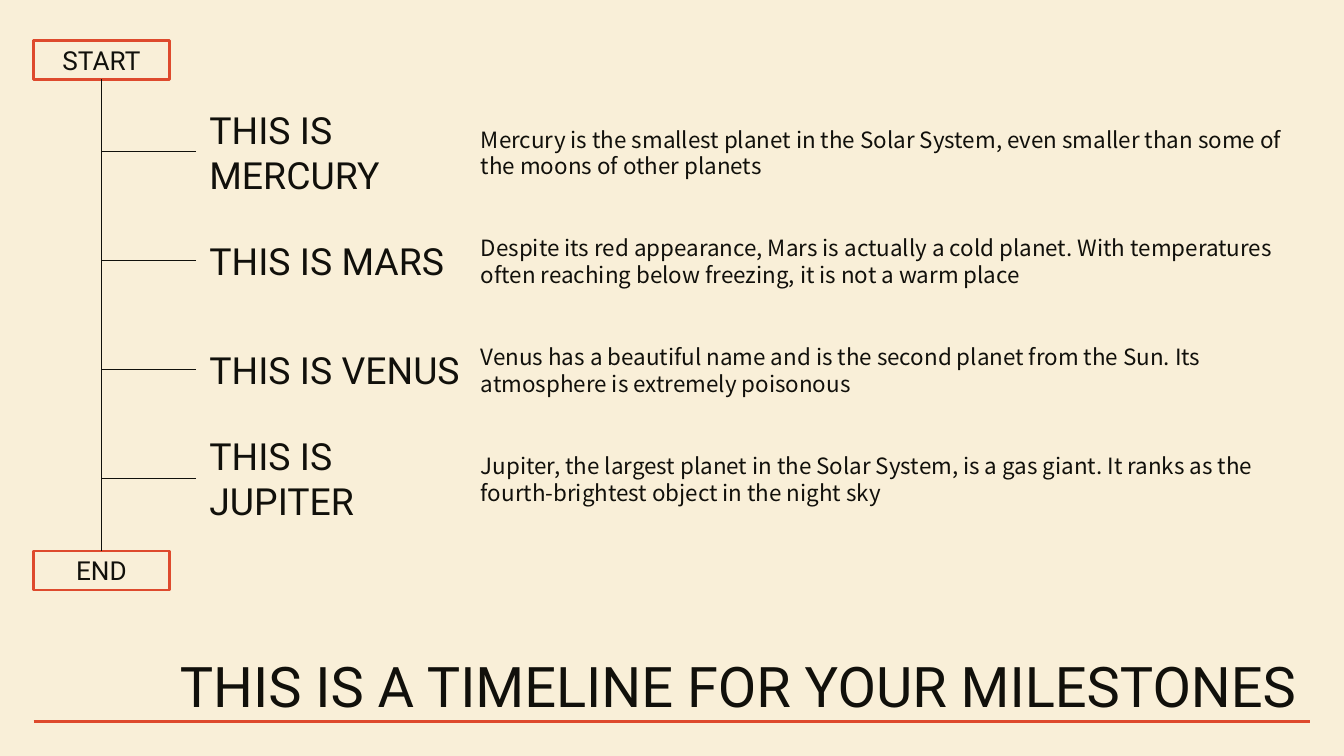
from dataclasses import dataclass

from lxml import etree
from pptx import Presentation, util as u
from pptx.dml.color import RGBColor
from pptx.enum import shapes, text
from pptx.oxml.ns import qn

CM_PER_INCH = 2.54
INK, RED, CREAM = "11100B", "DE4A2D", "F9EFD8"
HEADING_FONT, BODY_FONT = "Roboto", "Noto Sans CJK JP"
FIRST_ROW, ROW_STEP = 1.13, 0.81


@dataclass
class Milestone:
    heading: str
    description: str


@dataclass
class Style:
    size: float
    font: str = HEADING_FONT
    align: text.PP_ALIGN = text.PP_ALIGN.LEFT
    anchor: text.MSO_ANCHOR = text.MSO_ANCHOR.MIDDLE


MILESTONES = [
    Milestone("THIS IS MERCURY", "Mercury is the smallest planet in the Solar System, "
              "even smaller than some of the moons of other planets"),
    Milestone("THIS IS MARS", "Despite its red appearance, Mars is actually a cold planet. "
              "With temperatures often reaching below freezing, it is not a warm place"),
    Milestone("THIS IS VENUS", "Venus has a beautiful name and is the second planet from "
              "the Sun. Its atmosphere is extremely poisonous"),
    Milestone("THIS IS JUPITER", "Jupiter, the largest planet in the Solar System, is a gas "
              "giant. It ranks as the fourth-brightest object in the night sky"),
]
TITLE = Style(30, align=text.PP_ALIGN.RIGHT, anchor=text.MSO_ANCHOR.TOP)
LABEL = Style(14, align=text.PP_ALIGN.CENTER)
HEADING = Style(20)
BODY = Style(12, BODY_FONT)


def inches(value: float) -> u.Length:
    return u.Cm(value * CM_PER_INCH)


def color(value: str) -> RGBColor:
    return RGBColor.from_string(value)


def write(shape, content: str, style: Style) -> None:
    frame = shape.text_frame
    frame.text = content
    frame.word_wrap = True
    frame.vertical_anchor = style.anchor
    frame.margin_left = frame.margin_right = inches(0.1)
    frame.margin_top = frame.margin_bottom = inches(0.1)
    para = frame.paragraphs[0]
    para.alignment = style.align
    for span in para.runs:
        span.font.size = u.Pt(style.size)
        span.font.name = style.font
        span.font.color.rgb = color(INK)


def add_text(page, left: float, top: float, width: float, height: float,
             content: str, style: Style):
    box = page.shapes.add_textbox(*map(inches, (left, top, width, height)))
    write(box, content, style)
    return box


def add_label(page, top: float, content: str):
    box = page.shapes.add_shape(shapes.MSO_SHAPE.RECTANGLE,
                                *map(inches, (0.25, top, 1.01, 0.29)))
    box.shadow.inherit = False
    box.fill.background()
    box.line.color.rgb = color(RED)
    box.line.width = u.Pt(1.5)
    write(box, content, LABEL)
    return box


def add_line(page, start: tuple[float, float], end: tuple[float, float],
             line_color: str = INK, width: float = 0.75,
             kind: shapes.MSO_CONNECTOR = shapes.MSO_CONNECTOR.STRAIGHT):
    line = page.shapes.add_connector(kind, *map(inches, (*start, *end)))
    line.line.color.rgb = color(line_color)
    line.line.width = u.Pt(width)
    properties = line._element.spPr
    etree.SubElement(properties, qn("a:effectLst"))
    if kind == shapes.MSO_CONNECTOR.ELBOW:
        # A single corner instead of the default two
        properties.find(qn("a:prstGeom")).set("prst", "bentConnector2")
    return line


def main() -> None:
    # Widescreen page, 16:9
    deck = Presentation()
    deck.slide_width = inches(10)
    deck.slide_height = deck.slide_width * 9 // 16
    page = deck.slides.add_slide(deck.slide_layouts[6])
    page.background.fill.solid()
    page.background.fill.fore_color.rgb = color(CREAM)

    # Title and its rule
    add_text(page, 0.25, 4.75, 9.5, 0.63, "THIS IS A TIMELINE FOR YOUR MILESTONES", TITLE)
    add_line(page, (0.25, 5.37), (9.75, 5.37), RED, 1.5)

    # Timeline ends and trunk
    end_box = add_label(page, 4.1, "END")
    start_box = add_label(page, 0.3, "START")
    trunk = add_line(page, (0.75, 0.59), (0.75, 4.1))
    trunk.begin_connect(start_box, 2)
    trunk.end_connect(end_box, 0)

    # Milestones, each branching off the trunk
    for index, milestone in enumerate(MILESTONES):
        middle = FIRST_ROW + index * ROW_STEP
        add_text(page, 3.48, middle - 0.3, 6.27, 0.61, milestone.description, BODY)
        heading = add_text(page, 1.46, middle - 0.27, 2.1, 0.54, milestone.heading, HEADING)
        branch = add_line(page, (1.46, middle), (0.75, 0.59),
                          kind=shapes.MSO_CONNECTOR.ELBOW)
        branch.begin_connect(heading, 1)
        branch.end_connect(start_box, 2)

    deck.save("out.pptx")


if __name__ == "__main__":
    main()
